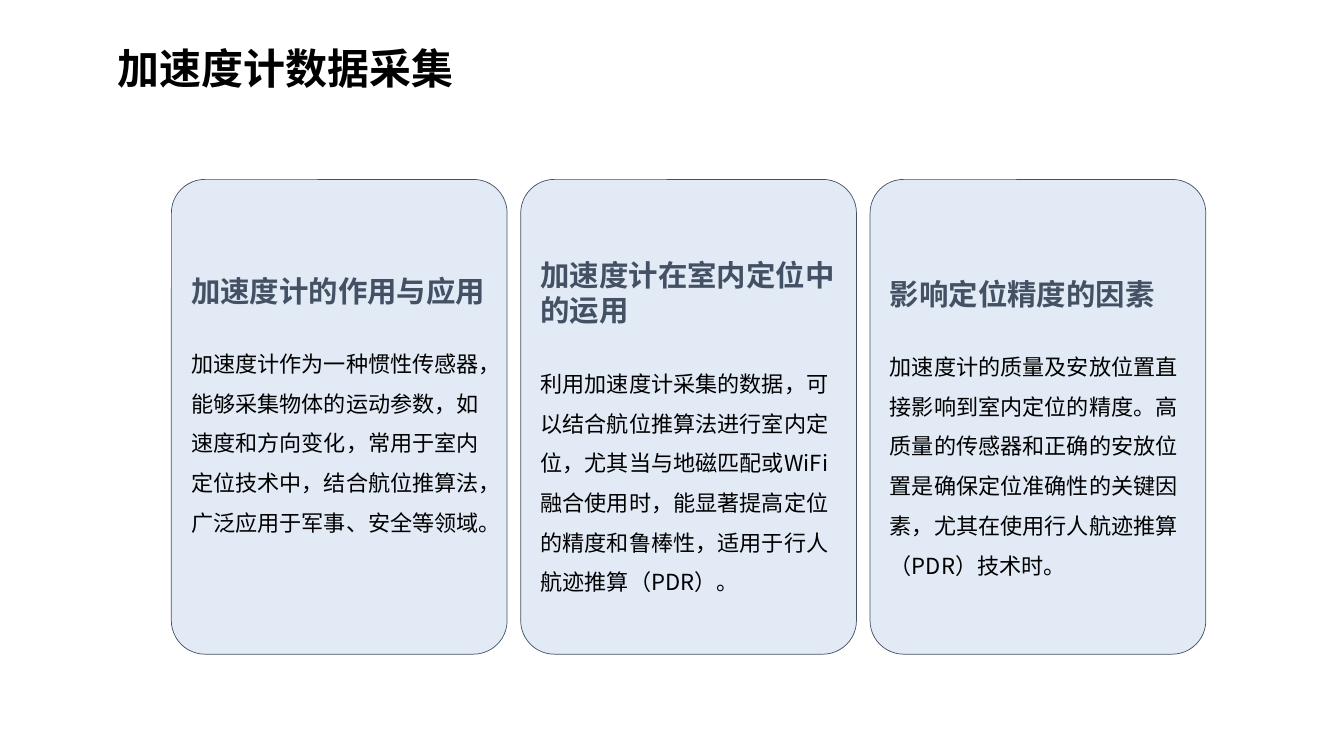
from lxml.etree import SubElement
from pptx import Presentation
from pptx.dml.color import RGBColor as RGB
from pptx.enum.shapes import MSO_SHAPE as SHAPE
from pptx.enum.text import MSO_ANCHOR as ANCHOR, PP_ALIGN as ALIGN
from pptx.oxml.ns import qn
from pptx.util import Inches, Pt

FONT = "Noto Sans CJK SC"
BLACK = RGB(0x00, 0x00, 0x00)
SLATE = RGB(0x44, 0x51, 0x64)
PALE = RGB(0xE1, 0xEA, 0xF5)

# Card grid, in inches
LEFT, TOP = 1.7, 1.78
WIDTH, HEIGHT = 3.33, 4.71
STEP = WIDTH + 0.135

# Heading, body, and the inset above the heading
CARDS = [
    ("加速度计的作用与应用",
     "加速度计作为一种惯性传感器，能够采集物体的运动参数，如速度和方向变化，"
     "常用于室内定位技术中，结合航位推算法，广泛应用于军事、安全等领域。", 0.83),
    ("加速度计在室内定位中的运用",
     "利用加速度计采集的数据，可以结合航位推算法进行室内定位，尤其当与地磁匹配或WiFi"
     "融合使用时，能显著提高定位的精度和鲁棒性，适用于行人航迹推算（PDR）。", 0.68),
    ("影响定位精度的因素",
     "加速度计的质量及安放位置直接影响到室内定位的精度。高质量的传感器和正确的安放位置"
     "是确保定位准确性的关键因素，尤其在使用行人航迹推算（PDR）技术时。", 0.86),
]


def write(para, text, size, color=BLACK, bold=False, line=1.5, before=None):
    """Fill one paragraph with formatted text."""
    para.alignment = ALIGN.LEFT
    para.line_spacing = line
    if before is not None:
        para.space_before = before
    run = para.add_run()
    run.text = text
    font = run.font
    font.name, font.size, font.bold = FONT, Pt(size), bold
    font.color.rgb = color
    # East Asian typeface
    SubElement(run._r.get_or_add_rPr(), qn("a:ea")).set("typeface", FONT)


def add_title(slide, text):
    box = slide.shapes.add_textbox(
        Inches(1.07), Inches(0.12), Inches(10.25), Inches(0.85))
    frame = box.text_frame
    frame.word_wrap = True
    frame.vertical_anchor = ANCHOR.MIDDLE
    write(frame.paragraphs[0], text, 30, bold=True)


def add_card(slide, col, head, body, inset):
    card = slide.shapes.add_shape(
        SHAPE.ROUNDED_RECTANGLE, Inches(LEFT + col * STEP), Inches(TOP),
        Inches(WIDTH), Inches(HEIGHT))
    card.adjustments[0] = 0.1
    card.shadow.inherit = False
    card.fill.solid()
    card.fill.fore_color.rgb = PALE
    card.line.color.rgb = SLATE
    card.line.width = Pt(0.5)
    frame = card.text_frame
    frame.word_wrap = True
    frame.vertical_anchor = ANCHOR.TOP
    frame.margin_top = Inches(inset)
    write(frame.paragraphs[0], head, 21, SLATE, True, line=Pt(25))
    write(frame.add_paragraph(), body, 15.8, line=Pt(28.35), before=Pt(21))


def main():
    deck = Presentation()
    deck.slide_width, deck.slide_height = Inches(13.33), Inches(7.5)
    slide = deck.slides.add_slide(deck.slide_layouts[6])

    # Title
    add_title(slide, "加速度计数据采集")

    # Three cards in a row
    for col, (head, body, inset) in enumerate(CARDS):
        add_card(slide, col, head, body, inset)

    deck.save("out.pptx")


if __name__ == "__main__":
    main()
